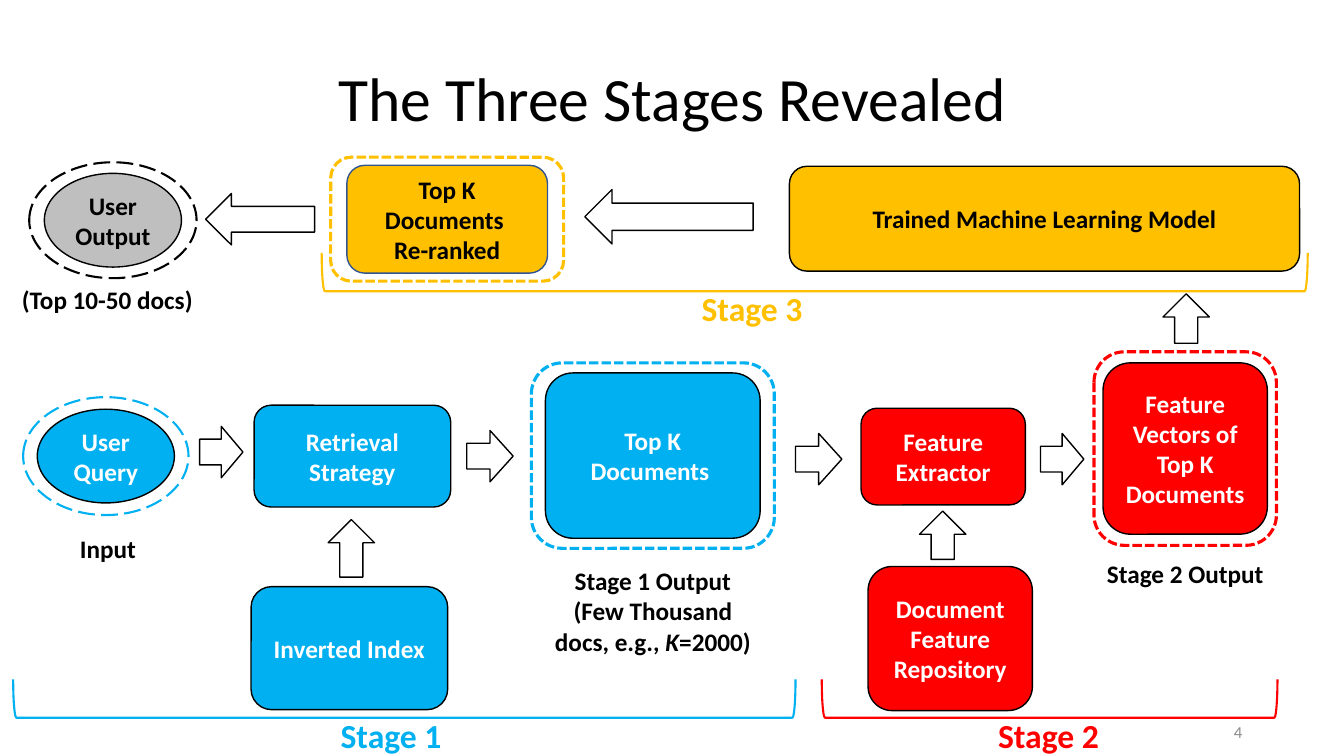
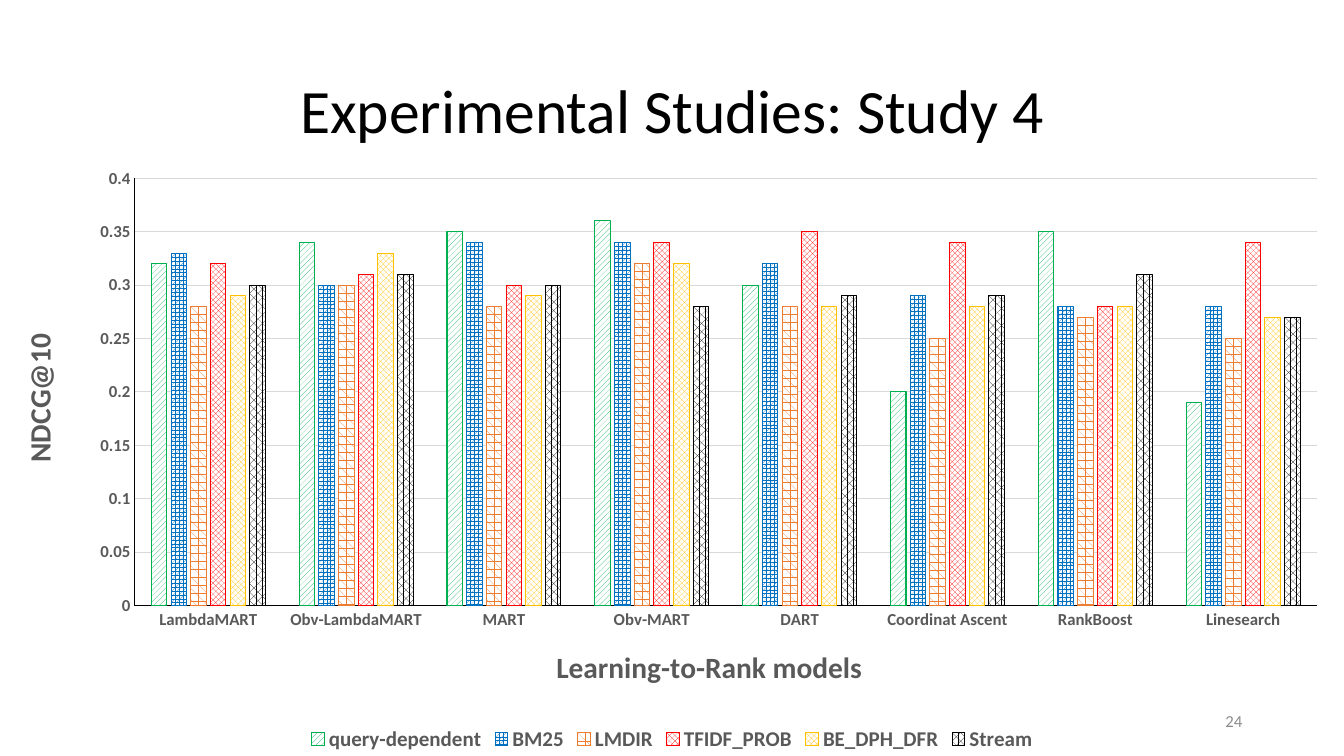
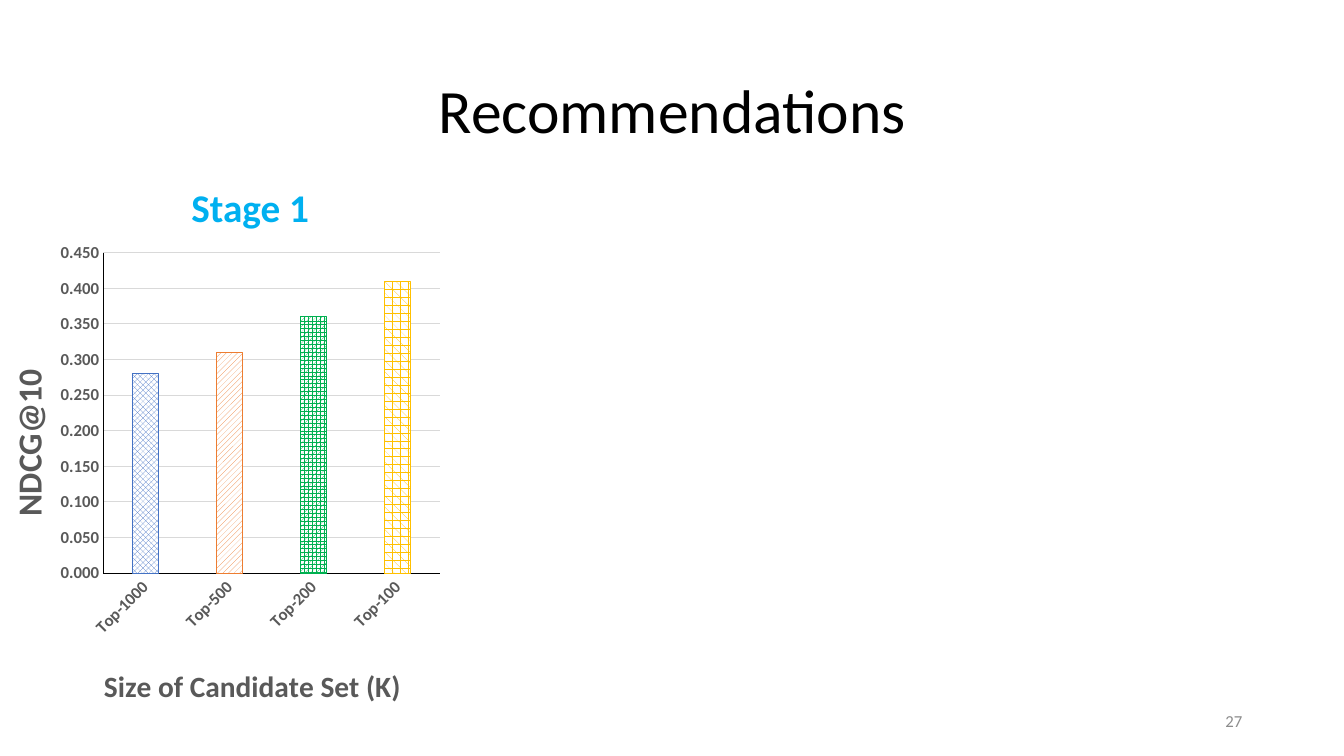
import dataclasses

import pptx
import pptx.chart.data
import pptx.dml.color
import pptx.enum.chart
import pptx.enum.dml
import pptx.enum.shapes
import pptx.enum.text
import pptx.oxml
import pptx.oxml.ns
import pptx.util

Inches = pptx.util.Inches
Pt = pptx.util.Pt
SHAPE = pptx.enum.shapes.MSO_SHAPE
PATTERN = pptx.enum.dml.MSO_PATTERN
DASH = pptx.enum.dml.MSO_LINE
ALIGN = pptx.enum.text.PP_ALIGN
MIDDLE = pptx.enum.text.MSO_ANCHOR.MIDDLE
TOP = pptx.enum.text.MSO_ANCHOR.TOP


@dataclasses.dataclass(frozen=True)
class Theme:
    font: str = "Calibri"
    black: str = "000000"
    white: str = "FFFFFF"
    blue: str = "00B0F0"
    red: str = "FF0000"
    gold: str = "FFC000"
    green: str = "00B050"
    orange: str = "ED7D31"
    deep_blue: str = "0070C0"
    soft_blue: str = "4472C4"
    navy: str = "325491"
    gray: str = "BFBFBF"
    number: str = "8C8C8C"
    axis_text: str = "595959"
    grid: str = "D9D9D9"
    title_size: int = 44
    heading_size: int = 28
    stage_size: int = 24
    body_size: int = 18
    legend_size: int = 15
    small_size: int = 12
    chart_size: int = 10
    axis_title_size: int = 21


T = Theme()
SLIDE_SIZE = (13.33, 7.5)

# Nodes: paragraphs, geometry, box, fill, text colour, outline, side inset
NODES = [
    (["Inverted Index"], SHAPE.ROUNDED_RECTANGLE, (2.49, 5.82, 1.95, 1.22), T.blue, T.white, T.black, 0.1),
    (["Retrieval Strategy"], SHAPE.ROUNDED_RECTANGLE, (2.52, 4.02, 1.95, 1.01), T.blue, T.white, T.black, 0.1),
    (["User Query"], SHAPE.OVAL, (0.37, 4.06, 1.36, 0.93), T.blue, T.white, T.black, 0.1),
    (["Top K Documents "], SHAPE.ROUNDED_RECTANGLE, (5.41, 3.7, 2.13, 1.64), T.blue, T.white, T.black, 0.1),
    (["Feature Extractor"], SHAPE.ROUNDED_RECTANGLE, (8.54, 4.05, 1.63, 0.96), T.red, T.white, T.black, 0.1),
    (["Document Feature Repository"], SHAPE.ROUNDED_RECTANGLE, (8.61, 5.62, 1.63, 1.43), T.red, T.white, T.black, 0.08),
    (["Feature Vectors of Top K Documents"], SHAPE.ROUNDED_RECTANGLE, (10.94, 3.6, 1.63, 1.7), T.red, T.white, T.black, 0.1),
    (["Trained Machine Learning Model"], SHAPE.ROUNDED_RECTANGLE, (7.83, 1.65, 5.06, 1.04), T.gold, T.black, T.black, 0.1),
    (["Top K Documents ", "Re-ranked"], SHAPE.ROUNDED_RECTANGLE, (3.44, 1.64, 1.99, 1.07), T.gold, T.black, T.navy, 0.1),
    (["User Output"], SHAPE.OVAL, (0.44, 1.72, 1.36, 0.93), T.gray, T.black, T.black, 0),
]
# Dashed halos: node text, margins, colour
HALOS = [
    ("User Query", 0.14, 0.12, T.blue),
    ("Top K Documents ", 0.14, 0.1, T.blue),
    ("Feature Vectors of Top K Documents", 0.09, 0.11, T.red),
    ("Top K Documents Re-ranked", 0.16, 0.08, T.gold),
    ("User Output", 0.15, 0.11, T.black),
]
# Arrows: box before turning, angle
RIGHT, UP, LEFT = 0, 270, 180
ARROWS = [
    ((1.98, 4.23, 0.43, 0.51), RIGHT),
    ((4.63, 4.27, 0.46, 0.51), RIGHT),
    ((7.89, 4.3, 0.46, 0.51), RIGHT),
    ((10.32, 4.3, 0.43, 0.51), RIGHT),
    ((3.2, 5.21, 0.57, 0.46), UP),
    ((9.11, 5.08, 0.48, 0.46), UP),
    ((11.52, 2.93, 0.49, 0.46), UP),
    ((5.8, 1.88, 1.67, 0.54), LEFT),
    ((2.04, 1.92, 1.08, 0.51), LEFT),
]
# Captions: box, paragraphs of (text, italic) runs
CAPTIONS = [
    ((5.38, 5.56, 2.19, 1.01), [
        [("Stage 1 Output", False)],
        [("(Few Thousand docs, e.g., ", False), ("K", True), ("=2000)", False)],
    ]),
    ((0.38, 5.24, 1.38, 0.4), [[("Input", False)]]),
    ((10.85, 5.49, 1.81, 0.4), [[("Stage 2 Output", False)]]),
    ((-0.54, 2.77, 3.21, 0.4), [[("(Top 10-50 docs)", False)]]),
]
# Stages: name, colour, bracket left, bracket width, bracket top, label left
STAGES = [
    ("Stage 1", T.blue, 0.13, 7.76, 6.74, 3.28),
    ("Stage 2", T.red, 8.15, 4.52, 6.74, 9.8),
    ("Stage 3", T.gold, 3.19, 9.78, 2.51, 6.86),
]
BRACKET_DEPTH = 0.38

STUDY_CHART = {
    "box": (0, 1.53, 13.33, 5.97),
    "plot": (0.1, 0.04, 0.88, 0.71),
    "categories": ["LambdaMART", "Obv-LambdaMART", "MART", "Obv-MART", "DART",
                   "Coordinat Ascent", "RankBoost", "Linesearch"],
    "series": [
        ("query-dependent", [0.32, 0.34, 0.35, 0.36, 0.3, 0.2, 0.35, 0.19]),
        ("BM25", [0.33, 0.3, 0.34, 0.34, 0.32, 0.29, 0.28, 0.28]),
        ("LMDIR", [0.28, 0.3, 0.28, 0.32, 0.28, 0.25, 0.27, 0.25]),
        ("TFIDF_PROB", [0.32, 0.31, 0.3, 0.34, 0.35, 0.34, 0.28, 0.34]),
        ("BE_DPH_DFR", [0.29, 0.33, 0.29, 0.32, 0.28, 0.28, 0.28, 0.27]),
        ("Stream", [0.3, 0.31, 0.3, 0.28, 0.29, 0.29, 0.31, 0.27]),
    ],
    "styles": [
        (PATTERN.WIDE_UPWARD_DIAGONAL, T.green),
        (PATTERN.SPHERE, T.deep_blue),
        (PATTERN.PLAID, T.orange),
        (PATTERN.OUTLINED_DIAMOND, T.red),
        (PATTERN.LARGE_CHECKER_BOARD, T.gold),
        (PATTERN.PERCENT_60, T.black),
    ],
    "category_title": ("Learning-to-Rank models", T.axis_title_size, (0.41, 0.81)),
    "value_title": ("NDCG@10", T.axis_title_size, (0.01, 0.29)),
    "maximum": 0.4,
    "format": "General",
    "label_angle": 0,
}
CANDIDATE_CHART = {
    "box": (0, 1.93, 4.45, 5.78),
    "plot": (0.23, 0.1, 0.75, 0.55),
    "categories": ["Top-1000", "Top-500", "Top-200", "Top-100"],
    "series": [("Series 1", [0.28, 0.31, 0.36, 0.41])],
    "styles": [
        (PATTERN.LARGE_CHECKER_BOARD, T.soft_blue),
        (PATTERN.WIDE_UPWARD_DIAGONAL, T.orange),
        (PATTERN.SPHERE, T.green),
        (PATTERN.PLAID, T.gold),
    ],
    "category_title": ("Size of Candidate Set (K)", T.axis_title_size, (0.22, 0.8)),
    "value_title": ("NDCG@10", T.stage_size, (0, 0.29)),
    "maximum": 0.45,
    "format": "0.000",
    "label_angle": -45,
}


def rgb(color):
    return pptx.dml.color.RGBColor.from_string(color)


def inches(box):
    return [Inches(length) for length in box]


def style_font(font, size, color, bold=False):
    font.name = T.font
    font.size = Pt(size)
    font.bold = bold
    font.color.rgb = rgb(color)


def style_line(line, color, width):
    line.color.rgb = rgb(color)
    line.width = Pt(width)


def write(frame, paragraphs, size, color, bold=True, align=ALIGN.CENTER, anchor=MIDDLE, wrap=True):
    """Fill a text frame with paragraphs of (text, italic) runs."""
    frame.word_wrap = wrap
    frame.vertical_anchor = anchor
    for index, runs in enumerate(paragraphs):
        paragraph = frame.add_paragraph() if index else frame.paragraphs[0]
        paragraph.alignment = align
        for text, italic in runs:
            run = paragraph.add_run()
            run.text = text
            style_font(run.font, size, color, bold)
            run.font.italic = italic


def add_text(slide, box, paragraphs, size, color, **options):
    write(slide.shapes.add_textbox(*inches(box)).text_frame, paragraphs, size, color, **options)


def add_outline(slide, geometry, box, color, width, fill=None, angle=0):
    shape = slide.shapes.add_shape(geometry, *inches(box))
    shape.shadow.inherit = False
    shape.rotation = angle
    if fill:
        shape.fill.solid()
        shape.fill.fore_color.rgb = rgb(fill)
    else:
        shape.fill.background()
    style_line(shape.line, color, width)
    return shape


def add_slide(deck, title, number, title_top=0.4, number_top=6.95):
    slide = deck.slides.add_slide(deck.slide_layouts.get_by_name("Title Only"))
    heading = slide.shapes.title
    heading.left, heading.top, heading.width, heading.height = inches((0.92, title_top, 11.5, 1.45))
    write(heading.text_frame, [[(title, False)]], T.title_size, T.black, bold=False)
    heading.text_frame.paragraphs[0].line_spacing = 0.9
    add_text(slide, (9.42, number_top, 3, 0.4), [[(number, False)]], T.small_size, T.number,
             bold=False, align=ALIGN.RIGHT)
    return slide


def add_stage_label(slide, name, color, left, top, size, width, height):
    add_text(slide, (left, top, width, height), [[(name, False)]], size, color,
             align=ALIGN.LEFT, anchor=TOP, wrap=False)


def add_stages_slide(deck):
    slide = add_slide(deck, "The Three Stages Revealed", "4", title_top=0.28, number_top=7.06)
    placed = {}
    for lines, geometry, box, fill, color, outline, inset in NODES:
        node = add_outline(slide, geometry, box, outline, 1, fill)
        node.text_frame.margin_left = node.text_frame.margin_right = Inches(inset)
        write(node.text_frame, [[(line, False)] for line in lines], T.body_size, color)
        placed["".join(lines)] = geometry, box
    for name, dx, dy, color in HALOS:
        geometry, (left, top, width, height) = placed[name]
        is_oval = geometry == SHAPE.OVAL
        halo = add_outline(slide, geometry, (left - dx, top - dy, width + 2 * dx, height + 2 * dy),
                           color, 1.5 if is_oval else 2.25)
        halo.line.dash_style = DASH.LONG_DASH if is_oval else DASH.SQUARE_DOT
    for box, angle in ARROWS:
        add_outline(slide, SHAPE.RIGHT_ARROW, box, T.black, 1, T.white, angle)
    for box, paragraphs in CAPTIONS:
        add_text(slide, box, paragraphs, T.body_size, T.black, anchor=TOP)
    for name, color, left, width, top, label_left in STAGES:
        shift = (width - BRACKET_DEPTH) / 2
        add_outline(slide, SHAPE.RIGHT_BRACKET, (left + shift, top - shift, BRACKET_DEPTH, width),
                    color, 1.5, angle=90)
        add_stage_label(slide, name, color, label_left, top + 0.3, T.stage_size, 1.21, 0.5)


def set_layout(element, inner=False, **fractions):
    """Place a chart part by fractions of the chart's size."""
    tag = pptx.oxml.ns.qn
    old = element.find(tag("c:layout"))
    if old is not None:
        element.remove(old)
    target = '<c:layoutTarget val="inner"/>' if inner else ""
    modes = "".join(f'<c:{key}Mode val="edge"/>' for key in "xy")
    values = "".join(f'<c:{key} val="{value}"/>' for key, value in fractions.items())
    layout = pptx.oxml.parse_xml(
        f'<c:layout {pptx.oxml.ns.nsdecls("c")}><c:manualLayout>{target}{modes}{values}'
        "</c:manualLayout></c:layout>")
    element.insert(0 if element.find(tag("c:tx")) is None else 1, layout)


def style_axis(axis, title, angle):
    text, size, (x, y) = title
    frame = axis.axis_title.text_frame
    run = frame.paragraphs[0].add_run()
    run.text = text
    style_font(run.font, size, T.axis_text, bold=True)
    frame._txBody.bodyPr.set("rot", str(angle * 60000))
    set_layout(axis.axis_title._element, x=x, y=y)
    axis.major_tick_mark = axis.minor_tick_mark = pptx.enum.chart.XL_TICK_MARK.NONE
    style_font(axis.tick_labels.font, T.small_size, T.axis_text, bold=True)
    style_line(axis.format.line, T.black, 0.75)


def add_column_chart(slide, content):
    data = pptx.chart.data.CategoryChartData()
    data.categories = content["categories"]
    for name, values in content["series"]:
        data.add_series(name, values)
    chart = slide.shapes.add_chart(pptx.enum.chart.XL_CHART_TYPE.COLUMN_CLUSTERED,
                                   *inches(content["box"]), data).chart
    style_font(chart.font, T.chart_size, T.black)
    chart.has_title = False
    set_layout(chart._chartSpace.chart.plotArea, inner=True, **dict(zip("xywh", content["plot"])))

    style_axis(chart.category_axis, content["category_title"], 0)
    if content["label_angle"]:
        labels = chart.category_axis._element.find(pptx.oxml.ns.qn("c:txPr"))
        labels.bodyPr.set("rot", str(content["label_angle"] * 60000))
    scale = chart.value_axis
    style_axis(scale, content["value_title"], -90)
    scale.minimum_scale, scale.maximum_scale, scale.major_unit = 0, content["maximum"], 0.05
    scale.tick_labels.number_format = content["format"]
    scale.tick_labels.number_format_is_linked = False
    scale.has_major_gridlines = True
    style_line(scale.major_gridlines.format.line, T.grid, 0.75)

    plot = chart.plots[0]
    plot.gap_width, plot.overlap, plot.vary_by_categories = 219, -27, False
    several = len(content["series"]) > 1
    if several:
        columns = plot.series
    else:
        points = plot.series[0].points
        columns = [points[index] for index in range(len(content["categories"]))]
    for column, (pattern, color) in zip(columns, content["styles"]):
        fill = column.format.fill
        fill.patterned()
        fill.pattern = pattern
        fill.fore_color.rgb = rgb(color)
        fill.back_color.rgb = rgb(T.white)
        style_line(column.format.line, color, 0.75)
    chart.has_legend = several
    if several:
        chart.legend.position = pptx.enum.chart.XL_LEGEND_POSITION.BOTTOM
        chart.legend.include_in_layout = False
        style_font(chart.legend.font, T.legend_size, T.axis_text, bold=True)


def main():
    deck = pptx.Presentation()
    deck.slide_width, deck.slide_height = inches(SLIDE_SIZE)
    add_stages_slide(deck)
    add_column_chart(add_slide(deck, "Experimental Studies: Study 4", "24"), STUDY_CHART)
    recommendations = add_slide(deck, "Recommendations", "27")
    add_column_chart(recommendations, CANDIDATE_CHART)
    add_stage_label(recommendations, "Stage 1", T.blue, 1.8, 1.77, T.heading_size, 1.38, 0.57)
    deck.save("out.pptx")


if __name__ == "__main__":
    main()
